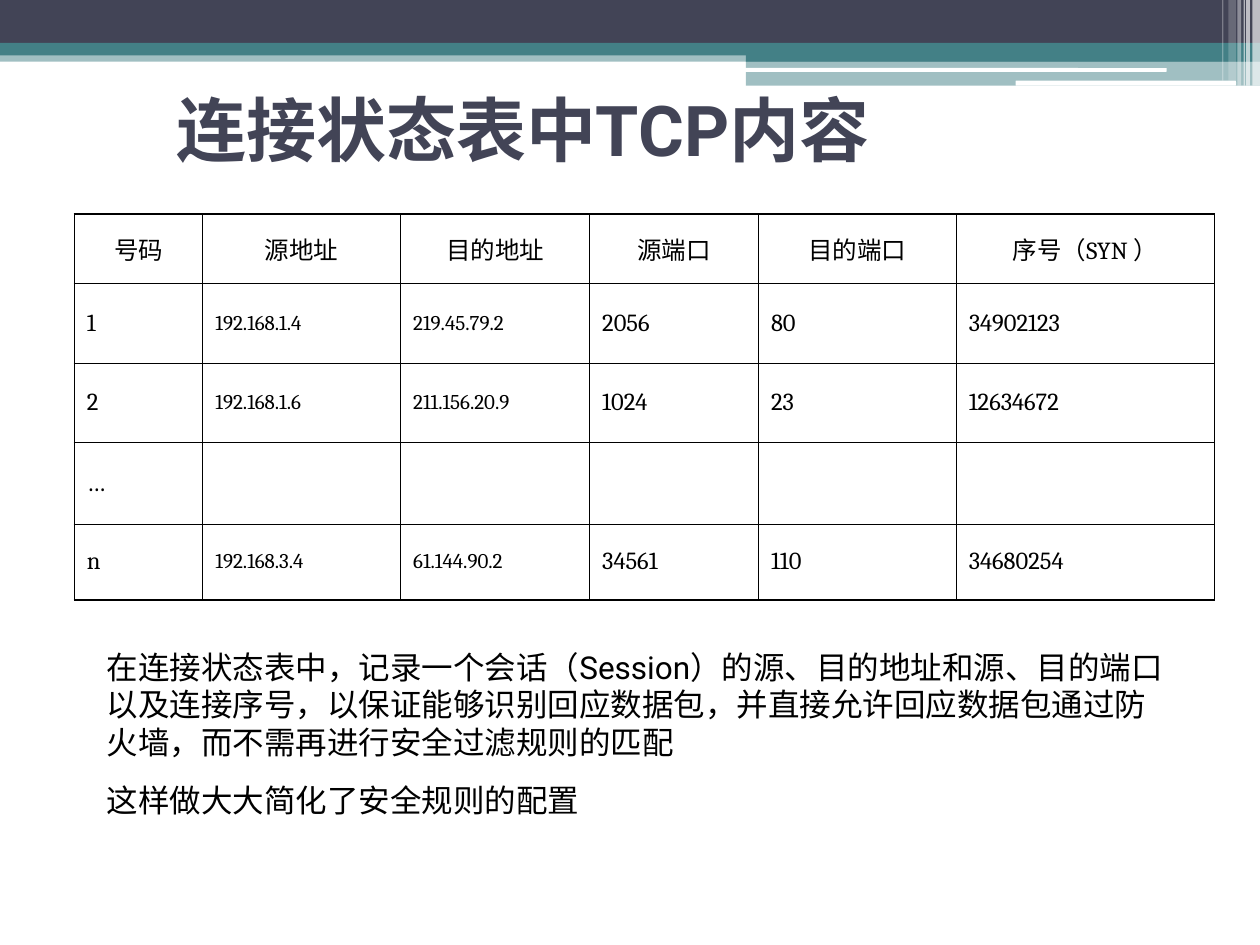
from lxml.etree import SubElement
from pptx import Presentation
from pptx.dml.color import RGBColor
from pptx.enum.shapes import MSO_SHAPE as Preset
from pptx.enum.text import MSO_ANCHOR as Anchor, PP_ALIGN as Align
from pptx.oxml import parse_xml
from pptx.oxml.ns import nsdecls, qn
from pptx.util import Inches, Pt


def style_font(font, name, size, color):
    font.name = name
    font.size = Pt(size)
    font.color.rgb = RGBColor.from_string(color)


presentation = Presentation()
presentation.slide_width = Inches(10)
presentation.slide_height = Inches(7.5)
slide = presentation.slides.add_slide(presentation.slide_layouts[5])

NAVY, TEAL, WHITE, BLACK = "424456", "438086", "FFFFFF", "000000"
BAR, ROUND_BAR = Preset.RECTANGLE, Preset.ROUNDED_RECTANGLE
header_bars = [
    (BAR, 0, 0.4, 10, 0.09, TEAL, 50),
    (BAR, 0, 0, 10, 0.34, NAVY, 100),
    (BAR, 0, 0.34, 10, 0.1, TEAL, 100),
    (BAR, 5.92, 0.39, 4.08, 0.1, TEAL, 100),
    (BAR, 5.92, 0.48, 4.08, 0.2, TEAL, 50),
    (ROUND_BAR, 5.91, 0.54, 3.35, 0.03, WHITE, 100),
    (ROUND_BAR, 8.06, 0.64, 1.75, 0.04, WHITE, 100),
    (BAR, 9.94, 0, 0.06, 0.68, WHITE, 65),
    (BAR, 9.89, 0, 0.03, 0.68, WHITE, 65),
    (BAR, 9.87, 0, 0.01, 0.68, WHITE, 60),
    (BAR, 9.82, 0, 0.03, 0.68, WHITE, 40),
    (BAR, 9.75, 0, 0.06, 0.64, WHITE, 20),
    (BAR, 9.7, 0, 0.01, 0.64, WHITE, 30),
]
for preset, left, top, width, height, color, opacity in header_bars:
    shape = slide.shapes.add_shape(
        preset, Inches(left), Inches(top), Inches(width), Inches(height))
    shape.shadow.inherit = False
    shape.line.fill.background()
    shape.fill.solid()
    shape.fill.fore_color.rgb = RGBColor.from_string(color)
    if opacity < 100:
        fill_color = shape.element.spPr.find(".//" + qn("a:srgbClr"))
        SubElement(fill_color, qn("a:alpha"), val=str(opacity * 1000))

title = slide.shapes.title
title.element.getparent().append(title.element)
title.left, title.top = Inches(1.3), Inches(0.68)
title.width, title.height = Inches(7.62), Inches(0.68)
title.text_frame.vertical_anchor = Anchor.MIDDLE
paragraph = title.text_frame.paragraphs[0]
paragraph.alignment = Align.LEFT
run = paragraph.add_run()
run.text = "连接状态表中TCP内容"
style_font(run.font, "Roboto", 40, NAVY)
run.font.bold = True

body = slide.shapes.add_textbox(Inches(0.75), Inches(5.09), Inches(8.66), Inches(1.46))
body.text_frame.word_wrap = True
body_texts = [
    "在连接状态表中，记录一个会话（Session）的源、目的地址和源、目的端口以及连接序号，"
    "以保证能够识别回应数据包，并直接允许回应数据包通过防火墙，而不需再进行安全过滤规则的匹配",
    "这样做大大简化了安全规则的配置",
]
for index, text in enumerate(body_texts):
    if index == 0:
        paragraph = body.text_frame.paragraphs[0]
    else:
        paragraph = body.text_frame.add_paragraph()
        paragraph.space_before = Pt(11.2)
    run = paragraph.add_run()
    run.text = text
    style_font(run.font, "Roboto", 18, BLACK)

connections = [
    ["号码", "源地址", "目的地址", "源端口", "目的端口", "序号（SYN ）"],
    ["1", "192.168.1.4", "219.45.79.2", "2056", "80", "34902123"],
    ["2", "192.168.1.6", "211.156.20.9", "1024", "23", "12634672"],
    ["…", "", "", "", "", ""],
    ["n", "192.168.3.4", "61.144.90.2", "34561", "110", "34680254"],
]
column_widths = [1.02, 1.57, 1.5, 1.34, 1.57, 2.05]
row_heights = [0.55, 0.63, 0.63, 0.65, 0.6]
last_row, last_column = len(row_heights) - 1, len(column_widths) - 1
ADDRESS_COLUMNS = (1, 2)

table = slide.shapes.add_table(
    len(row_heights), len(column_widths), Inches(0.59), Inches(1.7),
    Inches(sum(column_widths)), Inches(sum(row_heights))).table
for column, width in zip(table.columns, column_widths):
    column.width = Inches(width)
for row, height in zip(table.rows, row_heights):
    row.height = Inches(height)

for row_index, values in enumerate(connections):
    for column_index, value in enumerate(values):
        cell = table.cell(row_index, column_index)
        cell.vertical_anchor = Anchor.MIDDLE
        cell.fill.background()
        is_header = row_index == 0
        if value:
            paragraph = cell.text_frame.paragraphs[0]
            paragraph.alignment = Align.CENTER if is_header else Align.LEFT
            run = paragraph.add_run()
            run.text = value
            is_address = column_index in ADDRESS_COLUMNS and not is_header
            style_font(run.font, "Cambria", 12 if is_address else 14, BLACK)

        outer_edges = {
            "lnL": column_index == 0,
            "lnR": column_index == last_column,
            "lnT": row_index == 0,
            "lnB": row_index == last_row,
        }
        properties = cell._tc.get_or_add_tcPr()
        for position, (edge, is_outer) in enumerate(outer_edges.items()):
            line_width = Pt(1.08 if is_outer else 0.45)
            properties.insert(position, parse_xml(
                f'<a:{edge} {nsdecls("a")} w="{line_width}"><a:solidFill>'
                f'<a:srgbClr val="{BLACK}"/></a:solidFill></a:{edge}>'))

presentation.save("out.pptx")
